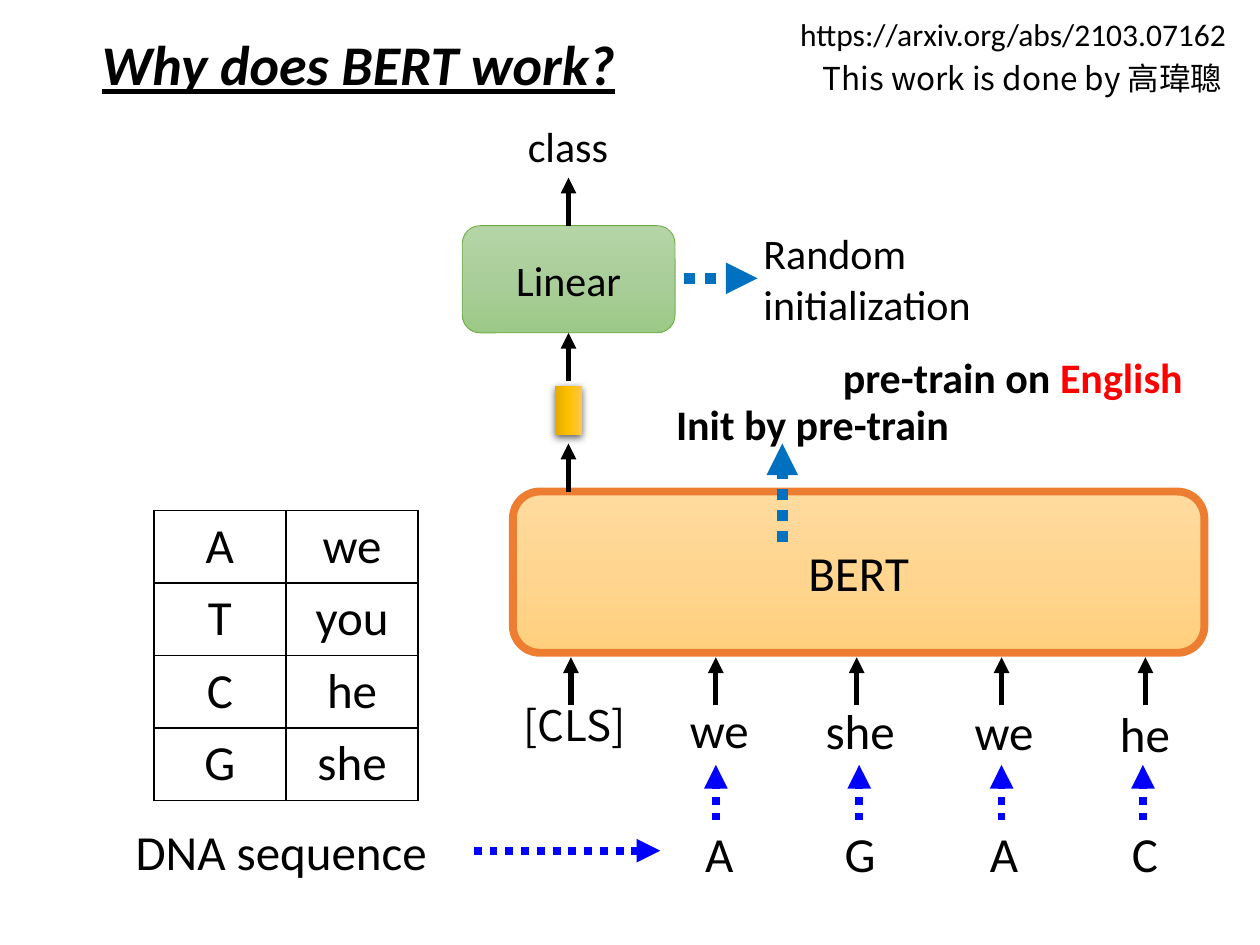
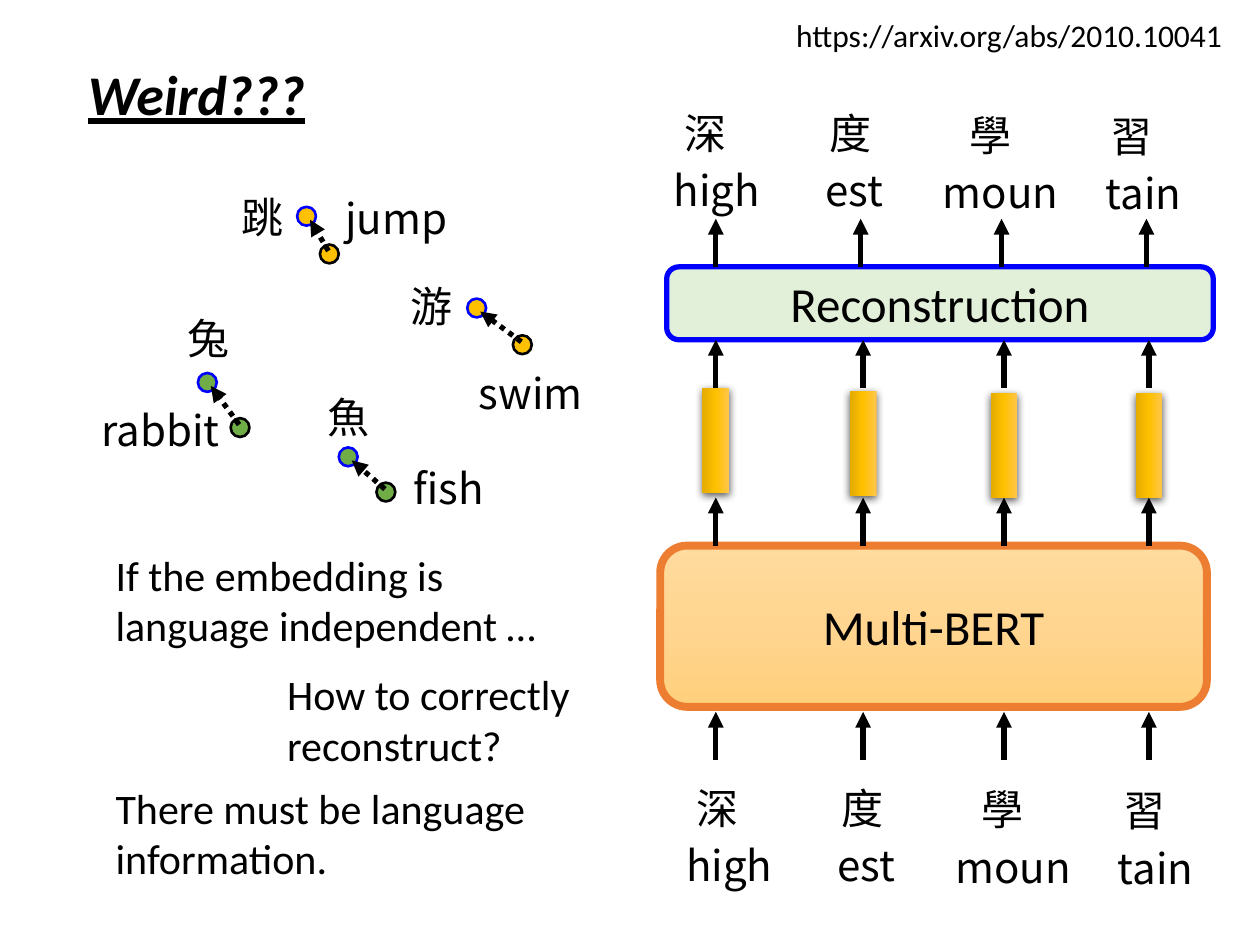
from copy import deepcopy
from typing import NamedTuple

from pptx import Presentation
from pptx import util as u
from pptx.dml.color import RGBColor
from pptx.enum import dml, shapes, text
from pptx.oxml import parse_xml
from pptx.oxml.ns import nsdecls, qn

COLORS = {
    "black": "000000", "white": "FFFFFF", "red": "FF0000", "blue": "0000FF",
    "init": "0070C0", "orange": "ED7D31", "green": "70AD47", "gold": "FFC000",
    "mint": "E2F0D9",
}
GRADIENTS = {
    "peach": ("FFDB9E", "FFD590", "FFD07C"),
    "leaf": ("B5D5A7", "AACE9A", "9CC987"),
    "amber": ("FFC64B", "FFC000", "E3AB00"),
}
LATIN, CJK, NAME_FONT = "Calibri", "Noto Sans CJK TC", "Lato"
ALIGN = text.PP_ALIGN
SHAPE = shapes.MSO_SHAPE


class Box(NamedTuple):
    left: float
    top: float
    width: float
    height: float


class Token(NamedTuple):
    character: str
    character_x: float
    word: str
    word_x: float
    drop: float
    width: float


class Input(NamedTuple):
    base: str
    word: str
    x: float
    label_x: float
    drop: float


class Pair(NamedTuple):
    """A word in two languages, each with a dot in the embedding space."""
    chinese: str
    chinese_at: tuple
    english: str
    english_at: tuple
    chinese_dot: tuple
    english_dot: tuple
    color: str


def rgb(name: str) -> RGBColor:
    return RGBColor.from_string(COLORS[name])


def place(box: Box) -> list:
    return [u.Cm(value) for value in box]


# Text
def add_run(paragraph, content: str, size=24, font=LATIN, color="black",
            bold=False, italic=False, underline=False):
    run = paragraph.add_run()
    run.text = content
    run.font.size = u.Pt(size)
    run.font.name = font
    run.font.bold, run.font.italic, run.font.underline = bold, italic, underline
    run.font.color.rgb = rgb(color)
    east_asian = parse_xml(f'<a:ea {nsdecls("a")} typeface="{CJK}"/>')
    run.font._element.find(qn("a:latin")).addnext(east_asian)


def add_text(slide, content: str, box: Box, align=ALIGN.LEFT, **style):
    frame = slide.shapes.add_textbox(*place(box)).text_frame
    frame.word_wrap = True
    paragraph = frame.paragraphs[0]
    paragraph.alignment = align
    add_run(paragraph, content, **style)
    return paragraph


def add_label(slide, content: str, x: float, top: float, width=2.36,
              height=1.45, **style):
    add_text(slide, content, Box(x - width / 2, top, width, height),
             ALIGN.CENTER, **style)


def add_title(slide, content: str, box: Box):
    add_text(slide, content, box, size=32, bold=True, italic=True, underline=True)


# Shapes
def add_block(slide, kind, box: Box, fill: str, line=None, line_width=0.0,
              label="", size=28):
    shape = slide.shapes.add_shape(kind, *place(box))
    shape.shadow.inherit = False
    if fill in GRADIENTS:
        shape.fill.gradient()
        shape.fill.gradient_angle = 270
        stops = shape._element.spPr.find(".//" + qn("a:gsLst"))
        stops.append(deepcopy(stops[0]))
        for index, stop in enumerate(shape.fill.gradient_stops):
            stop.position = index / 2
            stop.color.rgb = RGBColor.from_string(GRADIENTS[fill][index])
    else:
        shape.fill.solid()
        shape.fill.fore_color.rgb = rgb(fill)
    if line:
        shape.line.color.rgb = rgb(line)
        shape.line.width = u.Pt(line_width)
    else:
        shape.line.fill.background()
    if label:
        shape.text_frame.vertical_anchor = text.MSO_ANCHOR.MIDDLE
        paragraph = shape.text_frame.paragraphs[0]
        paragraph.alignment = ALIGN.CENTER
        add_run(paragraph, label, size=size)
    return shape


def add_model(slide, box: Box, label: str):
    add_block(slide, SHAPE.ROUNDED_RECTANGLE, box, "peach", "orange", 4.5, label)


def add_vector(slide, x: float, y: float, length: float):
    """Upright embedding bar centred on x, y."""
    thickness = 0.54
    box = Box(x - length / 2, y - thickness / 2, length, thickness)
    bar = add_block(slide, SHAPE.RECTANGLE, box, "amber")
    bar.rotation = 90
    bar._element.spPr.find(qn("a:effectLst")).append(parse_xml(
        f'<a:outerShdw {nsdecls("a")} blurRad="57150" dist="19050" dir="5400000"'
        ' algn="ctr" rotWithShape="0"><a:srgbClr val="000000">'
        '<a:alpha val="63000"/></a:srgbClr></a:outerShdw>'))


def add_arrow(slide, start: tuple, end: tuple, color="black", width=3.0,
              dotted=False):
    line = slide.shapes.add_connector(
        shapes.MSO_CONNECTOR.STRAIGHT, *[u.Cm(value) for value in start + end])
    line.line.color.rgb = rgb(color)
    line.line.width = u.Pt(width)
    if dotted:
        line.line.dash_style = dml.MSO_LINE.ROUND_DOT
    properties = line._element.spPr
    properties.find(qn("a:ln")).append(
        parse_xml(f'<a:tailEnd {nsdecls("a")} type="triangle"/>'))
    properties.append(parse_xml(f'<a:effectLst {nsdecls("a")}/>'))


def add_up_arrows(slide, columns, bottom: float, length=0.97, **style):
    for x in columns:
        add_arrow(slide, (x, bottom), (x, bottom - length), **style)


def add_code_table(slide, box: Box, rows):
    table = slide.shapes.add_table(len(rows), len(rows[0]), *place(box)).table
    table.first_row = table.horz_banding = False
    for row_index, row in enumerate(rows):
        for column_index, content in enumerate(row):
            cell = table.cell(row_index, column_index)
            cell.fill.background()
            paragraph = cell.text_frame.paragraphs[0]
            paragraph.alignment = ALIGN.CENTER
            add_run(paragraph, content, size=28)
            properties = cell._tc.get_or_add_tcPr()
            for index, side in enumerate("LRTB"):
                properties.insert(index, parse_xml(
                    f'<a:ln{side} {nsdecls("a")} w="12700"><a:solidFill>'
                    f'<a:srgbClr val="{COLORS["black"]}"/></a:solidFill></a:ln{side}>'))


# Slide 1: BERT on DNA sequences
CODES = [("A", "we"), ("T", "you"), ("C", "he"), ("G", "she")]
INPUTS = [
    Input("A", "we", 14.43, 14.5, 0),
    Input("G", "she", 17.27, 17.34, 0.03),
    Input("A", "we", 20.19, 20.24, 0.05),
    Input("C", "he", 23.09, 23.08, 0.08),
]


def build_dna_slide(slide):
    add_code_table(slide, Box(3.1, 10.29, 5.33, 5.76), CODES)
    credit = add_text(slide, "This work is done by ", Box(13.23, 1.07, 11.66, 1.02),
                      ALIGN.RIGHT, size=18, font=CJK)
    add_run(credit, "高瑋聰", size=18, font=NAME_FONT)
    add_text(slide, "https://arxiv.org/abs/2103.07162",
             Box(15.88, 0.18, 9.42, 1.02), size=18)
    add_title(slide, "Why does BERT work?", Box(1.8, 0.48, 10.87, 1.63))

    # Classifier stack
    output_x = 11.46
    add_model(slide, Box(10.34, 9.91, 13.94, 3.25), "BERT")
    add_vector(slide, output_x, 8.27, 0.99)
    add_block(slide, SHAPE.ROUNDED_RECTANGLE, Box(9.32, 4.55, 4.29, 2.16),
              "leaf", "green", 0.5, "Linear", 24)
    for bottom in (9.91, 7.68, 4.55):
        add_up_arrows(slide, [output_x], bottom)
    add_text(slide, "class", Box(10.39, 2.31, 2.16, 1.27))

    # Initialization notes
    add_text(slide, "Random initialization", Box(15.14, 4.47, 5.31, 2.31))
    add_label(slide, "Init by pre-train", 16.38, 7.9, 7.06, 1.27, bold=True)
    pretrain = add_text(slide, "pre-train on ", Box(16.74, 6.96, 8.6, 1.27), bold=True)
    add_run(pretrain, "English", color="red", bold=True)
    for start, end in (((13.79, 5.61), (15.27, 5.61)), ((15.77, 10.92), (15.77, 8.94))):
        add_arrow(slide, start, end, "init", 6, dotted=True)

    # Input tokens
    columns = [item.x for item in INPUTS]
    add_label(slide, "[CLS]", 11.58, 13.97, 3.1, 1.27, font=CJK)
    add_up_arrows(slide, [11.51] + columns, 14.22)
    add_up_arrows(slide, [14.43, 17.32, 20.19, 23.04], 16.54, 1.12,
                  color="blue", width=4.5, dotted=True)
    for item in INPUTS:
        add_label(slide, item.word, item.label_x, 13.97 + item.drop, size=28)
        add_label(slide, item.base, item.label_x, 16.48, size=28)
    add_label(slide, "DNA sequence ", 5.78, 16.43, 9.32, size=28)
    add_arrow(slide, (9.55, 17.15), (13.31, 17.15), "blue", 4.5, dotted=True)


# Slide 2: reconstruction with Multi-BERT
TOKENS = [
    Token("深", 14.22, "high", 14.45, 0, 2.84),
    Token("度", 17.14, "est", 17.22, 0, 2.84),
    Token("學", 19.96, "moun", 20.17, 0.03, 3.0),
    Token("習", 22.82, "tain", 23.05, 0.05, 4.19),
]
PAIRS = [
    Pair("魚", (6.35, 7.77), "fish", (8.08, 9.19), (6.83, 9.02), (7.59, 9.73), "green"),
    Pair("兔", (3.53, 6.17), "rabbit", (1.8, 8.03), (3.99, 7.52), (4.65, 8.43), "green"),
    Pair("跳", (4.62, 3.73), "jump", (6.71, 3.76), (5.99, 4.17), (6.45, 4.93), "gold"),
    Pair("游", (8.03, 5.54), "swim", (9.4, 7.29), (9.42, 6.02), (10.34, 6.76), "gold"),
]
REMARKS = [
    ("If the embedding is language independent …", Box(2.08, 10.95, 10.08, 2.31)),
    ("How to correctly reconstruct?", Box(5.54, 13.36, 6.63, 2.31)),
    ("There must be language information.", Box(2.08, 15.65, 10.08, 2.31)),
]


def add_token_rows(slide, shift: float, top: float):
    for token in TOKENS:
        add_label(slide, token.character, token.character_x + shift,
                  top + token.drop, token.width, 1.27, font=CJK)
        add_label(slide, token.word, token.word_x + shift,
                  top + 1.15 + token.drop, token.width, 1.27, font=CJK)


def add_pair(slide, pair: Pair):
    diameter = 0.38
    for content, at in ((pair.chinese, pair.chinese_at), (pair.english, pair.english_at)):
        add_text(slide, content, Box(*at, 3.25, 1.27), font=CJK)
    for dot, line in ((pair.chinese_dot, "blue"), (pair.english_dot, "black")):
        add_block(slide, SHAPE.OVAL, Box(*dot, diameter, diameter), pair.color, line, 1.5)
    (start_x, start_y), (end_x, end_y) = pair.english_dot, pair.chinese_dot
    add_arrow(slide, (start_x + 0.17, start_y + 0.13),
              (end_x + 0.26, end_y + 0.26), dotted=True)


def build_reconstruction_slide(slide):
    add_text(slide, "https://arxiv.org/abs/2010.10041",
             Box(15.8, 0.2, 9.35, 1.02), size=18)
    add_title(slide, "Weird???", Box(1.52, 1.07, 9.88, 1.63))
    for pair in PAIRS:
        add_pair(slide, pair)
    for remark, box in REMARKS:
        add_text(slide, remark, box)

    # Multi-BERT stack
    columns = [14.43, 17.4, 20.24, 23.16]
    add_model(slide, Box(13.31, 11.0, 11.02, 3.25), "Multi-BERT")
    add_block(slide, SHAPE.ROUNDED_RECTANGLE, Box(13.44, 5.38, 11.02, 1.47),
              "mint", "blue", 3, "Reconstruction")
    for x, y in zip(columns, (8.88, 8.94, 8.98, 8.98)):
        add_vector(slide, x, y, 2.11)
    for bottom in (15.32, 11.0, 7.82):
        add_up_arrows(slide, columns, bottom)
    add_up_arrows(slide, [14.43, 17.35, 20.19, 23.11], 5.38)
    add_token_rows(slide, 0, 2.05)
    add_token_rows(slide, 0.25, 15.65)


def main():
    presentation = Presentation()
    presentation.slide_width, presentation.slide_height = u.Cm(25.4), u.Cm(19.05)
    for build in (build_dna_slide, build_reconstruction_slide):
        slide = presentation.slides.add_slide(presentation.slide_layouts[6])
        slide.background.fill.solid()
        slide.background.fill.fore_color.rgb = rgb("white")
        build(slide)
    presentation.save("out.pptx")


if __name__ == "__main__":
    main()
